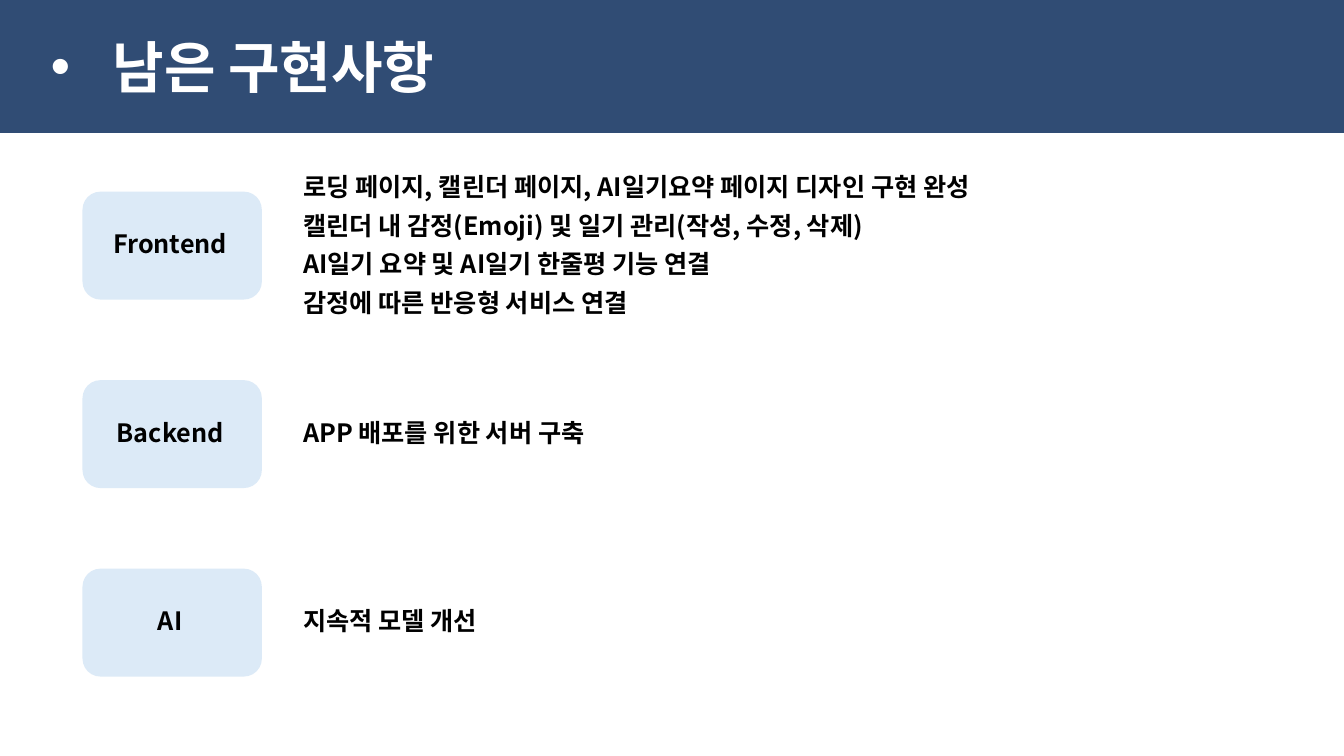
from pptx import Presentation
from pptx.dml.color import RGBColor
from pptx.enum.shapes import MSO_SHAPE
from pptx.enum.text import MSO_ANCHOR, MSO_AUTO_SIZE, PP_ALIGN
from pptx.oxml.ns import qn
from pptx.util import Cm, Pt
from lxml import etree

RECT = MSO_SHAPE.RECTANGLE
ROUND = MSO_SHAPE.ROUNDED_RECTANGLE
TOP, MIDDLE = MSO_ANCHOR.TOP, MSO_ANCHOR.MIDDLE
LEFT, CENTER = PP_ALIGN.LEFT, PP_ALIGN.CENTER
FIXED = MSO_AUTO_SIZE.NONE


def color(code):
    return RGBColor.from_string(code)


class Deck:
    font = "Noto Sans CJK KR"
    navy, pale, white, black = "304C74", "DCEAF7", "FFFFFF", "000000"

    def __init__(self):
        self.file = Presentation()
        self.file.slide_width = Cm(33.87)
        self.file.slide_height = Cm(19.05)
        self.slide = self.file.slides.add_slide(self.file.slide_layouts[1])
        self.shapes = self.slide.shapes

    def place(self, shape, x, y, w, h):
        shape.left, shape.top, shape.width, shape.height = map(Cm, (x, y, w, h))

    def panel(self, home, kind, x, y, w, h, fill):
        shape = home.add_shape(kind, Cm(x), Cm(y), Cm(w), Cm(h))
        shape.shadow.inherit = False
        shape.fill.solid()
        shape.fill.fore_color.rgb = color(fill)
        shape.line.fill.background()

    def style(self, shape, lines, size, ink, align=LEFT, anchor=TOP,
              wrap=True, after=0, bullet=None, indent=0):
        frame = shape.text_frame
        frame.text = "\n".join(lines)
        frame.auto_size = FIXED
        frame.word_wrap = wrap
        frame.vertical_anchor = anchor
        for para in frame.paragraphs:
            props = para._p.get_or_add_pPr()
            props.set("marL", str(Cm(indent)))
            props.set("indent", str(-Cm(indent)))
            para.alignment = align
            para.space_before = Pt(0)
            para.space_after = Pt(after)
            if bullet:
                etree.SubElement(props, qn("a:buFont"), typeface="Arial")
                etree.SubElement(props, qn("a:buChar"), char=bullet)
            else:
                etree.SubElement(props, qn("a:buNone"))
            font = para.font
            font.size = Pt(size)
            font.bold = True
            font.color.rgb = color(ink)
            font.name = self.font
            etree.SubElement(font._element, qn("a:ea"), typeface=self.font)

    def title(self, text):
        self.panel(self.shapes, RECT, 0, 0, 33.87, 3.35, self.navy)
        head = self.shapes.title
        self.shapes._spTree.append(head._element)
        self.place(head, 1.02, 0.69, 17.55, 1.96)
        self.style(head, [text], 40, self.white, anchor=MIDDLE,
                   bullet="•", indent=1.57)

    def body(self, lines, x, y, w, h):
        box = self.slide.placeholders[1]
        self.place(box, x, y, w, h)
        self.style(box, lines, 18, self.black, after=6)

    def text(self, home, line, x, y, w, h, align=LEFT, wrap=True):
        box = home.add_textbox(Cm(x), Cm(y), Cm(w), Cm(h))
        self.style(box, [line], 18, self.black, align, wrap=wrap)

    def label(self, name, y):
        group = self.shapes.add_group_shape().shapes
        self.panel(group, ROUND, 2.08, y, 4.52, 2.72, self.pale)
        self.text(group, name, 2.59, y + 0.81, 3.4, 1.02, CENTER)


def main():
    deck = Deck()
    deck.title("남은 구현사항")
    top, step = 4.83, 4.75
    for row, name in enumerate(("Frontend", "Backend", "AI")):
        deck.label(name, top + row * step)
    deck.body([
        "로딩 페이지, 캘린더 페이지, AI일기요약 페이지 디자인 구현 완성",
        "캘린더 내 감정(Emoji) 및 일기 관리(작성, 수정, 삭제)",
        "AI일기 요약 및 AI일기 한줄평 기능 연결",
        "감정에 따른 반응형 서비스 연결",
    ], 7.39, 4.19, 19.35, 3.99)
    notes = (("APP 배포를 위한 서버 구축", 8.43), ("지속적 모델 개선", 5.46))
    for row, (note, width) in enumerate(notes, 1):
        deck.text(deck.shapes, note, 7.39, top + row * step + 0.81,
                  width, 1.02, wrap=False)
    deck.file.save("out.pptx")


if __name__ == "__main__":
    main()
